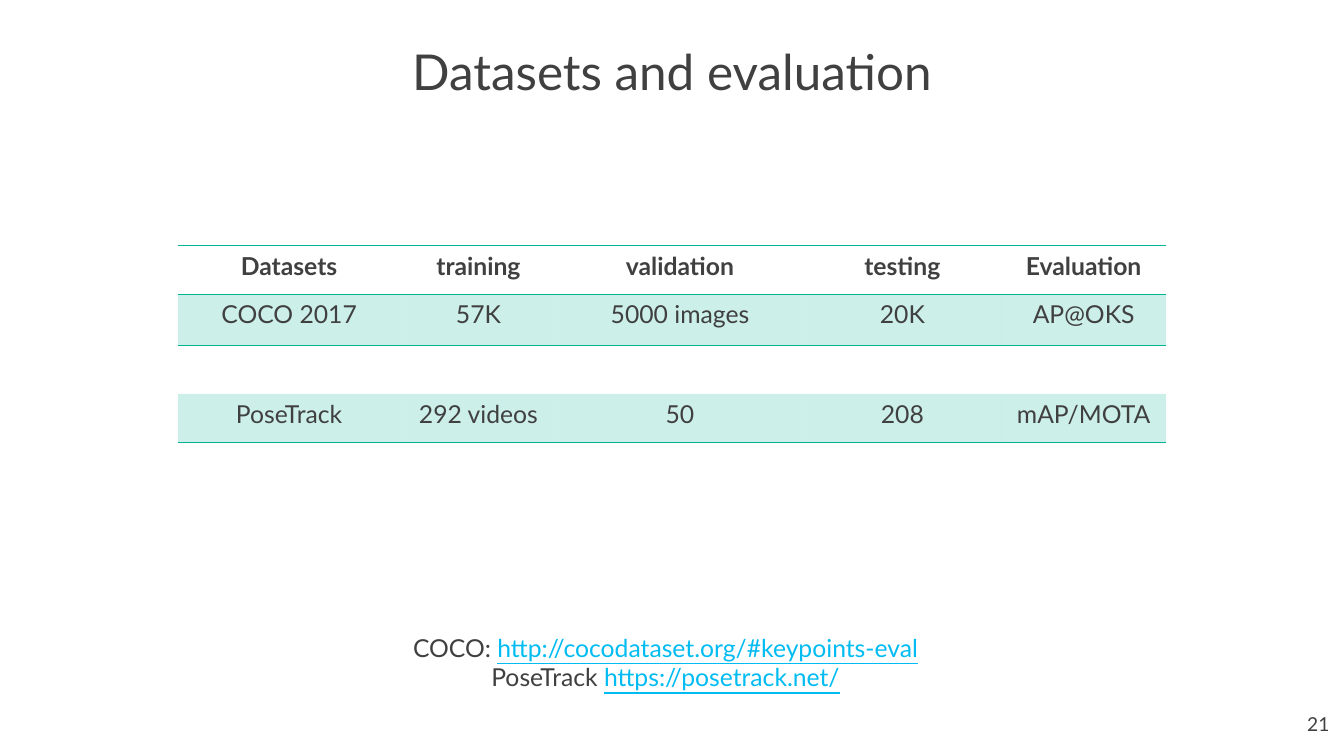
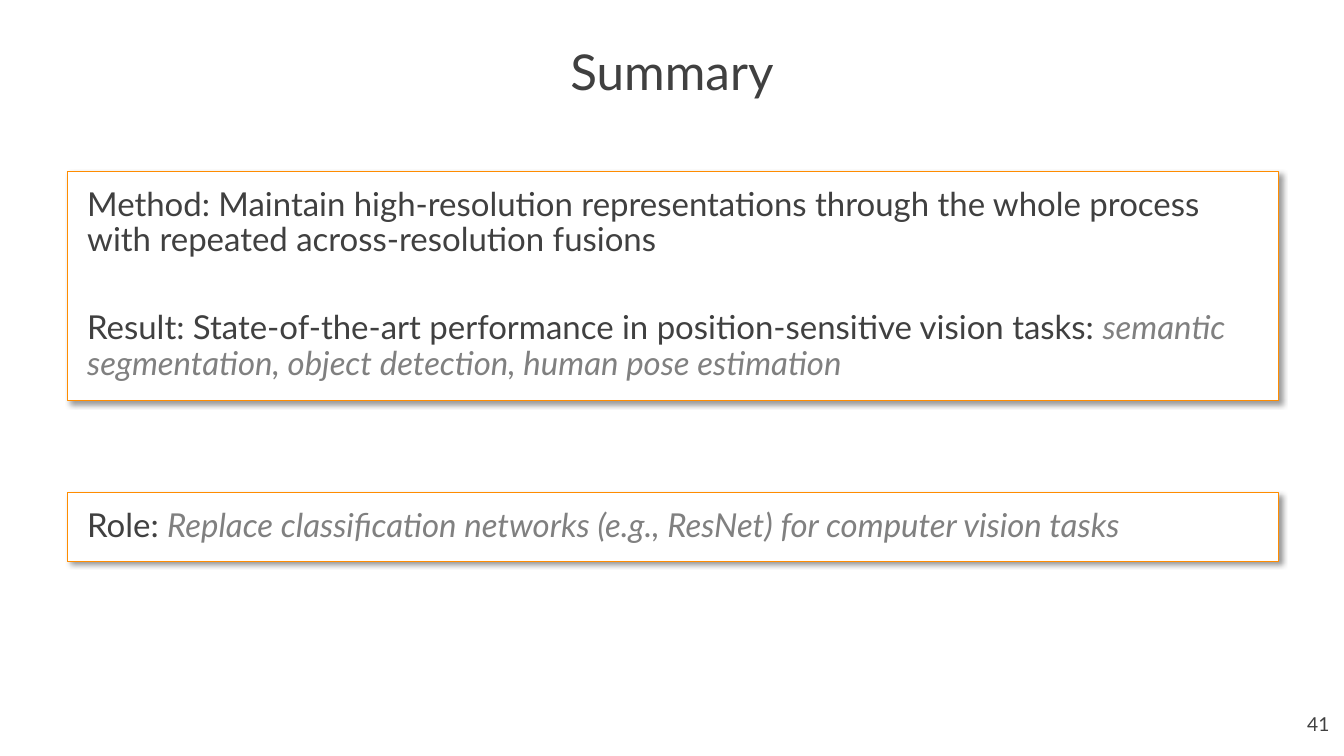
from lxml.etree import SubElement
from pptx import Presentation
from pptx.dml.color import RGBColor
from pptx.enum.text import MSO_ANCHOR as Anchor, MSO_AUTO_SIZE as AutoSize, PP_ALIGN as Align
from pptx.oxml.ns import qn
from pptx.util import Cm, Pt

FONT = "Lato"
DARK, GREY, WHITE = "404040", "808080", "FFFFFF"
TEAL, ORANGE, LINK = "00B294", "FF8C00", "00BCF2"
NO_STYLE = "{2D5ABB26-0587-4C30-8999-92F81FD0307C}"
INSETS = (0.51, 0.41)
LINKED = dict(color=LINK, underline=True)
QUIET = dict(color=GREY, italic=True)

DATASETS = [
    ("Datasets", "training", "validation", "testing", "Evaluation"),
    ("COCO 2017", "57K", "5000 images", "20K", "AP@OKS"),
    ("", "", "", "", ""),
    ("PoseTrack", "292 videos", "50", "208", "mAP/MOTA"),
]
COL_WIDTHS = (5.72, 4.01, 6.35, 5.08, 4.24)
ROW_HEIGHTS = (1.25, 1.3, 1.25, 1.25)
BANDED_ROWS = (1, 3)
RULES = {0: ("T", "B"), 1: ("T",), 3: ("B",)}
SOURCES = [
    [("COCO: ", {}), ("http://cocodataset.org/#keypoints-eval", LINKED)],
    [("PoseTrack ", {}), ("https://posetrack.net/", LINKED)],
]
SUMMARY_BOXES = [
    (4.42, 5.87, [
        [("Method: Maintain high-resolution representations through the whole process "
          "with repeated across-resolution fusions", {})],
        [("Result: State-of-the-art performance in position-sensitive vision tasks: ", {}),
         ("semantic segmentation, object detection, human pose estimation", QUIET)],
    ]),
    (12.67, 1.75, [
        [("Role: ", {}),
         ("Replace classification networks (e.g., ResNet) for computer vision tasks", QUIET)],
    ]),
]


def rgb(value):
    return RGBColor.from_string(value)


def place(sp, left, top, width, height):
    sp.left, sp.top, sp.width, sp.height = Cm(left), Cm(top), Cm(width), Cm(height)


def write(tf, paragraphs, size=18, align=Align.LEFT, bold=False, line=1.0, after=0, gap=0):
    for i, runs in enumerate(paragraphs):
        p = tf.paragraphs[0] if i == 0 else tf.add_paragraph()
        pPr = p._p.get_or_add_pPr()
        pPr.set("marL", "0")
        pPr.set("indent", "0")
        SubElement(pPr, qn("a:buNone"))
        p.alignment, p.line_spacing = align, line
        p.space_before, p.space_after = Pt(gap if i else 0), Pt(after)
        for text, style in runs:
            r = p.add_run()
            r.text = text
            f = r.font
            f.name, f.size, f.bold = FONT, Pt(size), bold
            f.italic, f.underline = style.get("italic"), style.get("underline")
            f.color.rgb = rgb(style.get("color", DARK))


def frame(sp, insets=None):
    tf = sp.text_frame
    tf.word_wrap, tf.auto_size, tf.vertical_anchor = True, AutoSize.NONE, Anchor.TOP
    if insets:
        tf.margin_left = tf.margin_right = Cm(insets[0])
        tf.margin_top = tf.margin_bottom = Cm(insets[1])
    return tf


def add_text(slide, box, paragraphs, **style):
    sp = slide.shapes.add_textbox(*map(Cm, box))
    write(frame(sp), paragraphs, **style)


def add_slide(prs, layout, title, number):
    slide = prs.slides.add_slide(prs.slide_layouts[layout])
    sp = slide.shapes.title
    place(sp, 1.27, 0.81, 32, 2.21)
    write(frame(sp, INSETS), [[(title, {})]], size=36, align=Align.CENTER, line=0.9, after=6)
    add_text(slide, (26.8, 18.19, 7.62, 1.02), [[(number, {})]], size=14, align=Align.RIGHT)
    return slide


def set_alpha(color, percent):
    SubElement(color, qn("a:alpha"), val=str(percent * 1000))


def add_shadow(sp):
    effects = SubElement(sp._element.spPr, qn("a:effectLst"))
    shadow = SubElement(effects, qn("a:outerShdw"), blurRad=str(Pt(4)), dist=str(Pt(3)),
                        dir=str(45 * 60000), algn="tl", rotWithShape="0")
    set_alpha(SubElement(shadow, qn("a:srgbClr"), val="000000"), 40)


def rule_cell(cell, sides):
    tcPr = cell._tc.get_or_add_tcPr()
    for side in sides:
        ln = SubElement(tcPr, qn(f"a:ln{side}"), w=str(Pt(1)))
        fill = SubElement(ln, qn("a:solidFill"))
        SubElement(fill, qn("a:srgbClr"), val=TEAL)


def fill_cell(cell, banded):
    if not banded:
        cell.fill.background()
        return
    cell.fill.solid()
    cell.fill.fore_color.rgb = rgb(TEAL)
    set_alpha(cell._tc.tcPr.find(qn("a:solidFill")).find(qn("a:srgbClr")), 20)


def add_dataset_table(slide):
    table = slide.shapes.add_table(
        len(DATASETS), len(COL_WIDTHS), Cm(4.57), Cm(6.32),
        Cm(sum(COL_WIDTHS)), Cm(sum(ROW_HEIGHTS))).table
    table.horz_banding = False
    table._tbl.tblPr.find(qn("a:tableStyleId")).text = NO_STYLE
    for col, width in zip(table.columns, COL_WIDTHS):
        col.width = Cm(width)
    for i, (row, height) in enumerate(zip(table.rows, ROW_HEIGHTS)):
        row.height = Cm(height)
        for cell, text in zip(row.cells, DATASETS[i]):
            rule_cell(cell, RULES.get(i, ()))
            fill_cell(cell, i in BANDED_ROWS)
            if text:
                write(cell.text_frame, [[(text, {})]], align=Align.CENTER, bold=i == 0)


def add_summary_boxes(slide):
    for idx, (top, height, paragraphs) in enumerate(SUMMARY_BOXES, start=1):
        sp = slide.placeholders[idx]
        place(sp, 1.73, top, 31.12, height)
        sp.fill.solid()
        sp.fill.fore_color.rgb = rgb(WHITE)
        sp.line.color.rgb = rgb(ORANGE)
        sp.line.width = Pt(0.75)
        add_shadow(sp)
        write(frame(sp, INSETS), paragraphs, size=24, line=0.9, after=6, gap=32)


def main():
    prs = Presentation()
    prs.slide_width, prs.slide_height = Cm(34.54), Cm(19.43)

    slide = add_slide(prs, 5, "Datasets and evaluation", "21")
    add_dataset_table(slide)
    add_text(slide, (0.13, 16.13, 33.95, 2.57), SOURCES, align=Align.CENTER)

    slide = add_slide(prs, 3, "Summary", "41")
    add_summary_boxes(slide)

    prs.save("out.pptx")


if __name__ == "__main__":
    main()
